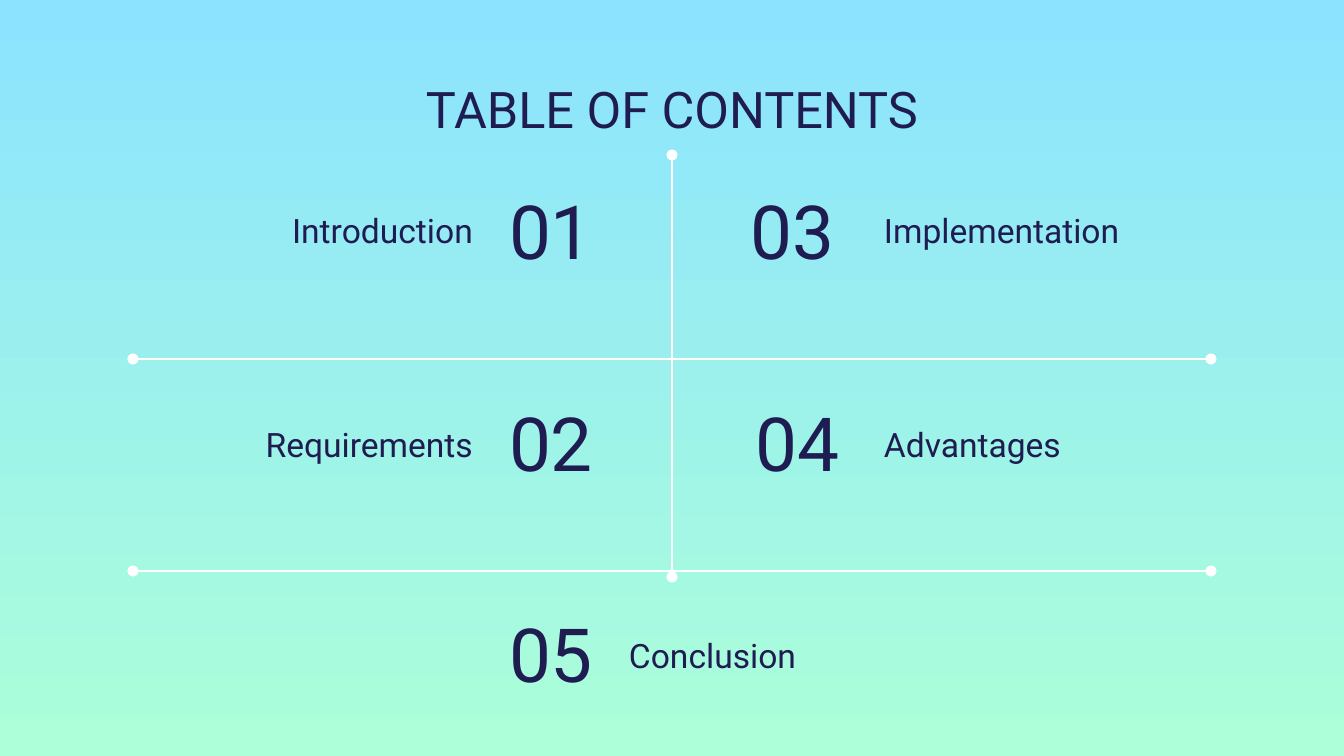
from lxml.etree import SubElement
from pptx import Presentation
from pptx.dml.color import RGBColor as RGB
from pptx.enum.shapes import MSO_CONNECTOR as CONN
from pptx.enum.text import MSO_ANCHOR as ANCHOR, PP_ALIGN as ALIGN
from pptx.oxml.ns import qn
from pptx.util import Pt

PX = 914400 / 134.4
COLORS = {"ink": "1F1C51", "line": "FFFFFF", "top": "8BE3FF", "bottom": "ACFFD9"}


def px(n):
    return round(n * PX)


def color(name):
    return RGB.from_string(COLORS[name])


def write(tf, text, size=18, align=ALIGN.LEFT, anchor=ANCHOR.BOTTOM):
    tf.word_wrap = True
    tf.vertical_anchor = anchor
    tf.margin_left = tf.margin_right = tf.margin_top = tf.margin_bottom = px(13)
    p = tf.paragraphs[0]
    p.alignment = align
    r = p.add_run()
    r.text = text
    r.font.name = "Roboto"
    r.font.size = Pt(size)
    r.font.color.rgb = color("ink")


class Contents:
    def __init__(self, s):
        self.s = s

    def background(self):
        fill = self.s.background.fill
        fill.gradient()
        fill.gradient_angle = 270
        for stop, name in zip(fill.gradient_stops, ("top", "bottom")):
            stop.color.rgb = color(name)

    def text(self, x, y, w, h, text, **fmt):
        sp = self.s.shapes.add_textbox(px(x), px(y), px(w), px(h))
        write(sp.text_frame, text, **fmt)

    def number(self, x, y, text, align):
        self.text(x, y, 175, 116, text, size=40, align=align, anchor=ANCHOR.MIDDLE)

    def topic(self, x, y, text, align):
        self.text(x, y, 401, 67, text, align=align)

    def rule(self, x1, y1, x2, y2):
        c = self.s.shapes.add_connector(CONN.STRAIGHT, px(x1), px(y1), px(x2), px(y2))
        c.line.color.rgb = color("line")
        c.line.width = Pt(1.5)
        ln = c.line._get_or_add_ln()
        for end in ("a:headEnd", "a:tailEnd"):
            SubElement(ln, qn(end), type="oval")
        SubElement(c._element.spPr, qn("a:effectLst"))


def main():
    prs = Presentation()
    prs.slide_width, prs.slide_height = px(1344), px(756)
    page = Contents(prs.slides.add_slide(prs.slide_layouts[6]))
    page.background()

    # Title
    page.text(308, 48, 728, 104, "TABLE OF CONTENTS", size=27, align=ALIGN.CENTER)

    # Dividing lines
    page.rule(672, 155, 672, 577)
    for y in (359, 571):
        page.rule(133, y, 1211, y)

    # Numbers and topics: number x, y, alignment; topic x, y, alignment
    left, right = ALIGN.LEFT, ALIGN.RIGHT
    entries = [
        ("Introduction", 496, 172, left, 85, 196, right),
        ("Requirements", 496, 384, left, 85, 410, right),
        ("Implementation", 672, 172, right, 871, 196, left),
        ("Advantages", 677, 384, right, 871, 410, left),
        ("Conclusion", 496, 595, left, 616, 621, left),
    ]
    for i, (name, nx, ny, n_align, tx, ty, t_align) in enumerate(entries, 1):
        page.number(nx, ny, f"{i:02}", n_align)
        page.topic(tx, ty, name, t_align)

    prs.save("out.pptx")


if __name__ == "__main__":
    main()
